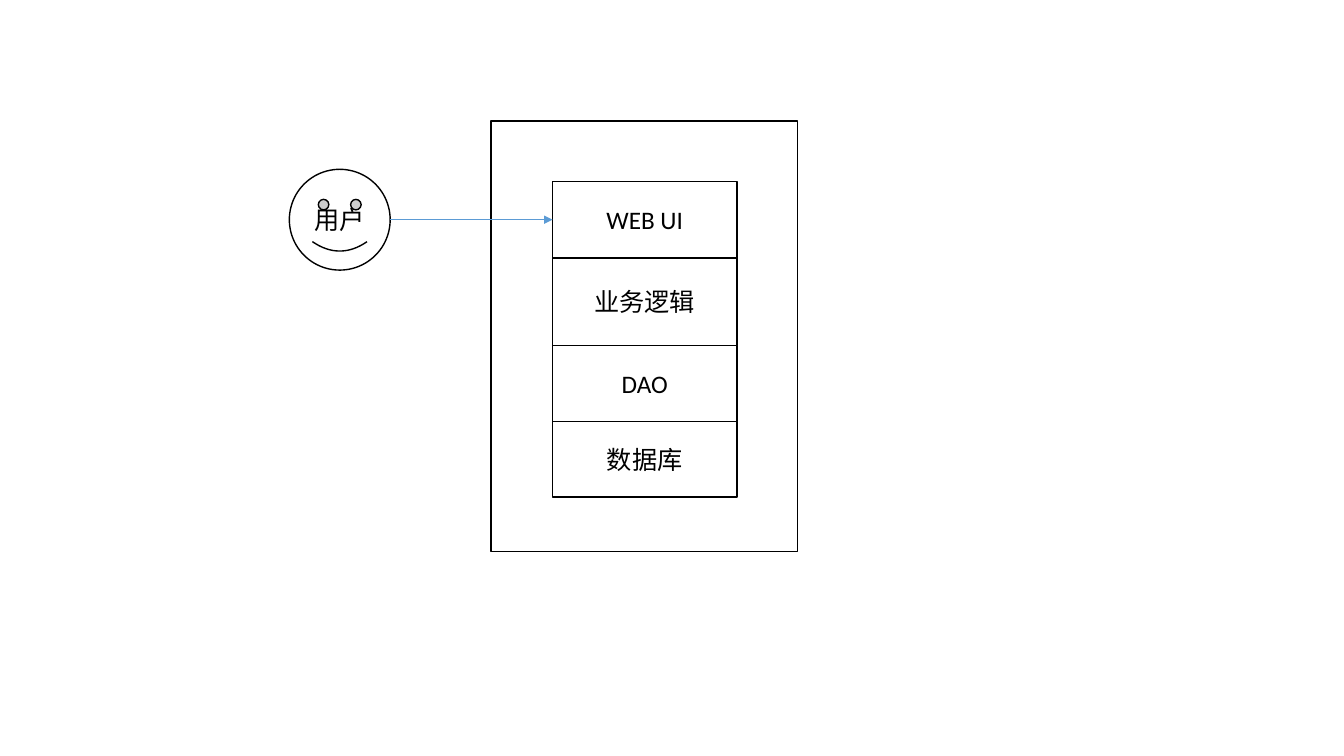
from dataclasses import dataclass

from lxml import etree
from pptx import Presentation
from pptx import util as u
from pptx.dml.color import RGBColor
from pptx.enum import shapes, text
from pptx.oxml import ns
from pptx.shapes.autoshape import Shape
from pptx.shapes.connector import Connector
from pptx.slide import Slide

BLACK = RGBColor(0x00, 0x00, 0x00)
WHITE = RGBColor(0xFF, 0xFF, 0xFF)
BLUE = RGBColor(0x5B, 0x9B, 0xD5)
FONT = "Calibri"

RECT = shapes.MSO_SHAPE.RECTANGLE
FACE = shapes.MSO_SHAPE.SMILEY_FACE


@dataclass(frozen=True)
class Box:
    left: float
    top: float
    width: float
    height: float
    label: str = ""
    kind: shapes.MSO_SHAPE = RECT


@dataclass(frozen=True)
class Layer:
    label: str
    height: float


FRAME = Box(4.87, 1.2, 3.04, 4.27)
USER = Box(2.87, 1.68, 1, 1, "用户", FACE)
STACK_LEFT, STACK_TOP, STACK_WIDTH = 5.48, 1.8, 1.83
LAYERS = [
    Layer("WEB UI", 0.76),
    Layer("业务逻辑", 0.87),
    Layer("DAO", 0.75),
    Layer("数据库", 0.75),
]


def draw_box(slide: Slide, box: Box) -> Shape:
    shape = slide.shapes.add_shape(
        box.kind,
        u.Inches(box.left), u.Inches(box.top),
        u.Inches(box.width), u.Inches(box.height),
    )
    shape.shadow.inherit = False
    shape.fill.solid()
    shape.fill.fore_color.rgb = WHITE
    shape.line.color.rgb = BLACK
    shape.line.width = u.Pt(1)
    if box.label:
        frame = shape.text_frame
        frame.vertical_anchor = text.MSO_ANCHOR.MIDDLE
        para = frame.paragraphs[0]
        para.alignment = text.PP_ALIGN.CENTER
        run = para.add_run()
        run.text = box.label
        run.font.name = FONT
        run.font.size = u.Pt(18)
        run.font.color.rgb = BLACK
    return shape


def draw_stack(slide: Slide) -> list[Shape]:
    """Draw the layers one under the other, without gaps."""
    drawn = []
    top = STACK_TOP
    for layer in LAYERS:
        box = Box(STACK_LEFT, top, STACK_WIDTH, layer.height, layer.label)
        drawn.append(draw_box(slide, box))
        top += layer.height
    return drawn


def draw_arrow(slide: Slide, start: Box, target: Shape) -> Connector:
    """Draw an arrow from the right of start to the left side of target."""
    mid = u.Inches(start.top + start.height / 2)
    arrow = slide.shapes.add_connector(
        shapes.MSO_CONNECTOR.STRAIGHT,
        u.Inches(start.left + start.width), mid, target.left, mid,
    )
    arrow.end_connect(target, 1)
    arrow.line.color.rgb = BLUE
    arrow.line.width = u.Pt(0.5)
    props = arrow.line._get_or_add_ln()
    etree.SubElement(props, ns.qn("a:tailEnd"), type="triangle")
    etree.SubElement(arrow._element.spPr, ns.qn("a:effectLst"))
    return arrow


def main() -> None:
    deck = Presentation()
    deck.slide_width = u.Inches(13.33)
    deck.slide_height = u.Inches(7.5)
    slide = deck.slides.add_slide(deck.slide_layouts[6])
    draw_box(slide, FRAME)
    draw_box(slide, USER)
    stack = draw_stack(slide)
    draw_arrow(slide, USER, stack[0])
    deck.save("out.pptx")


if __name__ == "__main__":
    main()
